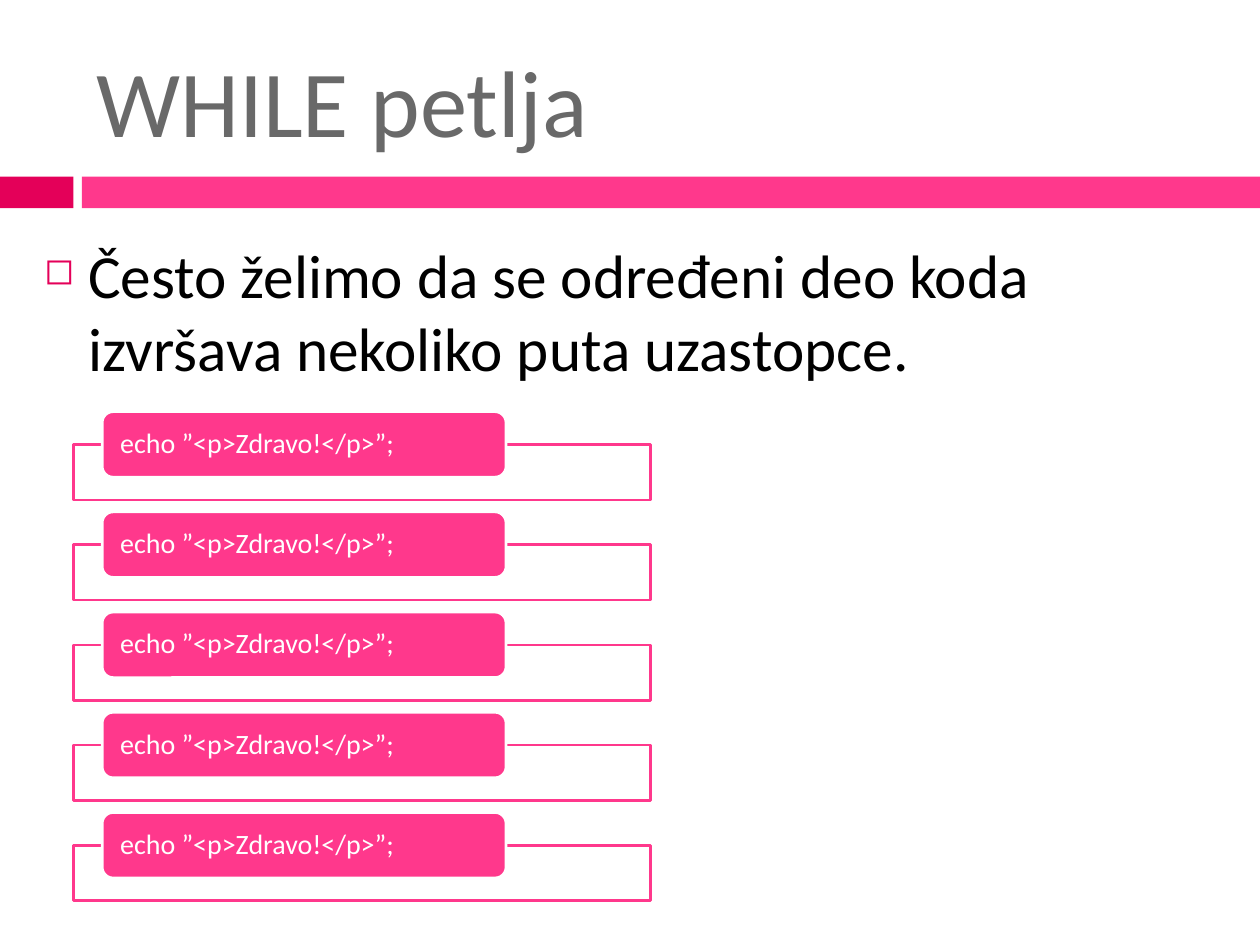
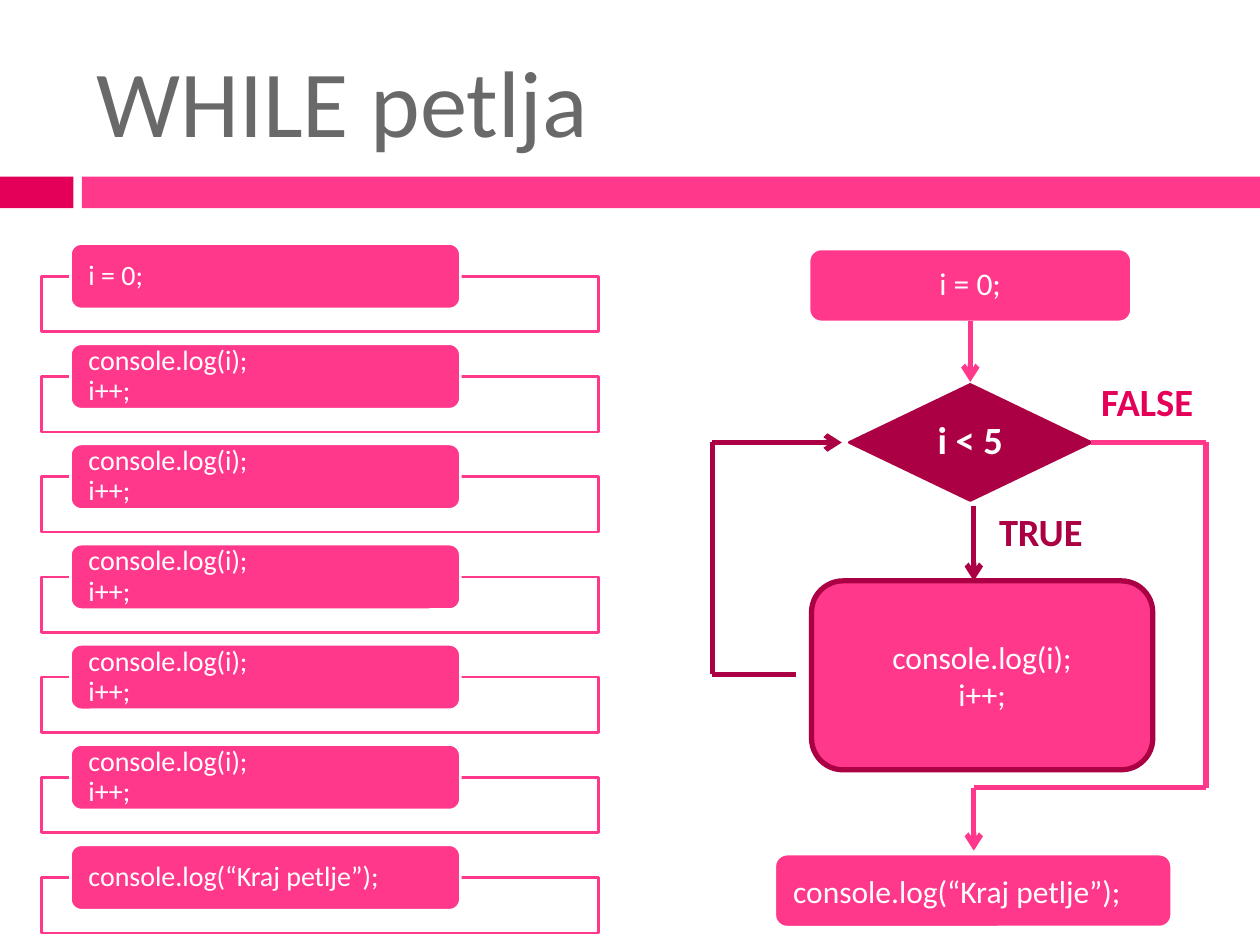
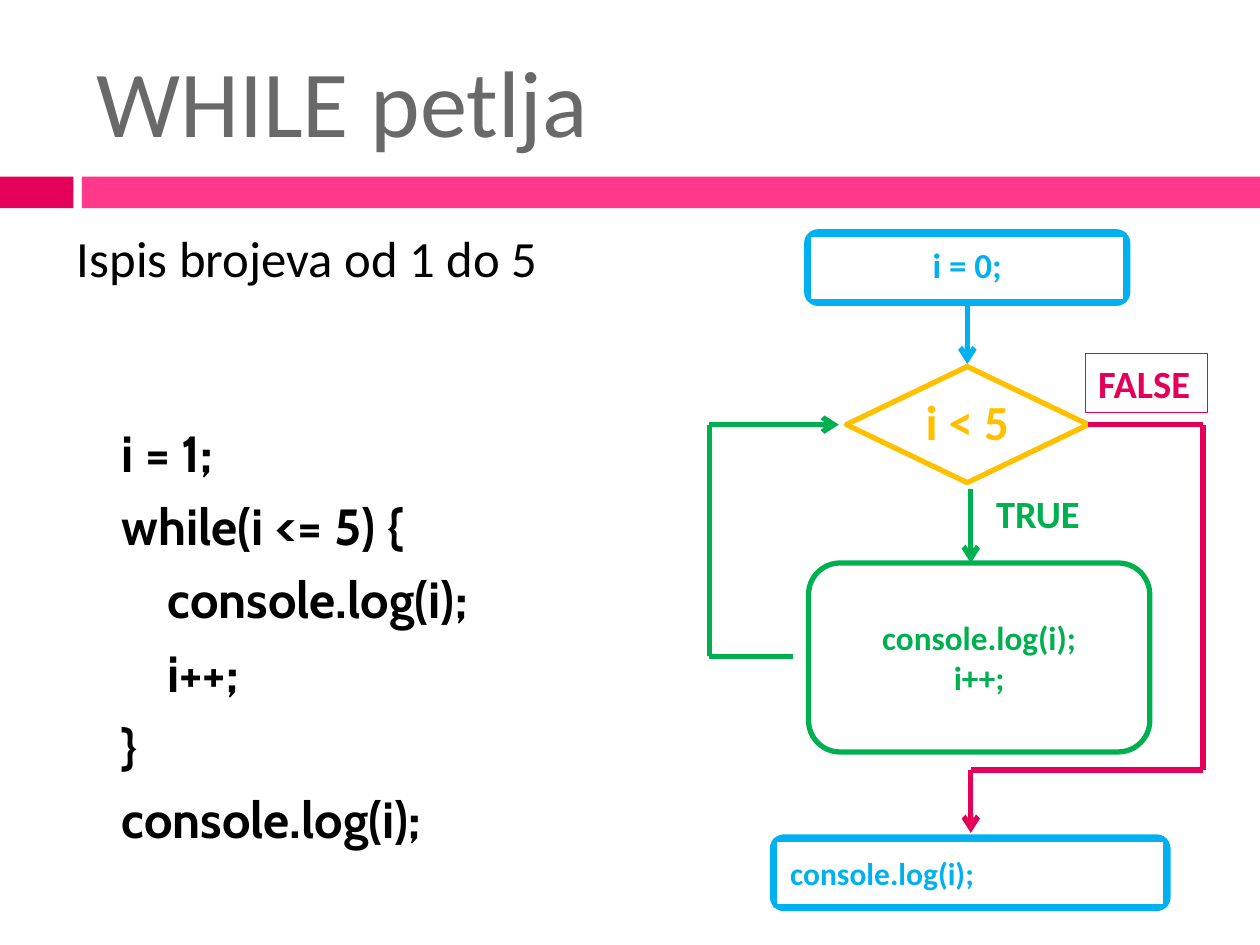
import pptx
import pptx.util
import pptx.dml.color
import pptx.enum.shapes
import pptx.enum.text
import pptx.oxml
import pptx.oxml.ns

Cm, Pt = pptx.util.Cm, pptx.util.Pt
KIND = pptx.enum.shapes.MSO_SHAPE
ALIGN = pptx.enum.text.PP_ALIGN
ANCHOR = pptx.enum.text.MSO_ANCHOR
FIT = pptx.enum.text.MSO_AUTO_SIZE
qn = pptx.oxml.ns.qn

PINK, ROSE, WINE = "FF388C", "E40059", "AB0043"
WHITE, BLACK, GREY = "FFFFFF", "000000", "696969"
BLUE, GOLD, GREEN = "00B0F0", "FFC000", "00B050"
FONT, CODE = "Calibri", "Cabin"

INSET = {"margin_left": Cm(0.3), "margin_right": Cm(0.3),
         "margin_top": 0, "margin_bottom": 0,
         "vertical_anchor": ANCHOR.MIDDLE, "word_wrap": True}
TIGHT = {"line_spacing": 0.9}
MIDDLE = {"alignment": ALIGN.CENTER}
LABEL = {"word_wrap": False, "auto_size": FIT.SHAPE_TO_FIT_TEXT}

PITCH = 2.02    # distance between steps
TAB_H, FRAME_H = 1.32, 1.12

PLAIN = {
    "shift": (0, 0), "box": (PINK, WHITE, 1.5), "ink": WHITE, "bold": False,
    "start_size": 18, "end": "console.log(“Kraj petlje”);", "inner": False,
    "down": PINK, "test": (WINE, WINE, 1.5), "test_ink": WHITE,
    "test_size": 22, "body": (PINK, WINE, 3), "body_ink": WHITE,
    "body_size": 18, "lines": ["console.log(i);\vi++;"], "loop": WINE,
    "exit": PINK, "frame": None,
}
COLOURED = {
    "shift": (-0.06, -0.36), "box": (WHITE, BLUE, 2.25), "ink": BLUE,
    "bold": True, "start_size": 20, "end": "console.log(i);", "inner": True,
    "down": BLUE, "test": (None, GOLD, 3), "test_ink": GOLD,
    "test_size": 28, "body": (None, GREEN, 3), "body_ink": GREEN,
    "body_size": 19, "lines": ["console.log(i);", "i++;"], "loop": GREEN,
    "exit": ROSE, "frame": ROSE,
}


def rgb(code):
    """Turn a hex string into a colour."""
    return pptx.dml.color.RGBColor.from_string(code)


def put(item, values):
    """Set each attribute named in the dict."""
    for name, value in values.items():
        setattr(item, name, value)


def edge(line, color, width):
    """Colour an outline, or remove it."""
    if color:
        line.color.rgb = rgb(color)
        line.width = Pt(width)
    else:
        line.fill.background()


def write(shape, lines, size, color, frame=None, para=None, bold=False,
          font=FONT):
    """Fill a shape with paragraphs of one style and return them."""
    text = shape.text_frame
    put(text, frame or {"word_wrap": True})
    for number, line in enumerate(lines):
        part = text.add_paragraph() if number else text.paragraphs[0]
        part.text = line
        put(part, {"alignment": ALIGN.LEFT, **(para or {})})
        for run in part.runs:
            put(run.font, {"size": Pt(size), "name": font, "bold": bold})
            run.font.color.rgb = rgb(color)
    return text.paragraphs


def shape(slide, kind, box, fill=None, line=None, width=1.5):
    """Draw a preset shape; box is left, top, width, height in cm."""
    item = slide.shapes.add_shape(kind, *map(Cm, box))
    item.shadow.inherit = False
    if fill:
        item.fill.solid()
        item.fill.fore_color.rgb = rgb(fill)
    else:
        item.fill.background()
    edge(item.line, line, width)
    return item


def label(slide, box):
    """Add an empty text box."""
    return slide.shapes.add_textbox(*map(Cm, box))


def tag(parent, name, **values):
    """Append one drawing element."""
    child = parent.makeelement(qn(name), values)
    parent.append(child)
    return child


def link(slide, color, start, end, arrow=False):
    """Draw a straight line, with an arrowhead at its end if asked."""
    kind = pptx.enum.shapes.MSO_CONNECTOR.STRAIGHT
    item = slide.shapes.add_connector(kind, *map(Cm, (*start, *end)))
    edge(item.line, color, 3)
    if arrow:
        tag(item.line._get_or_add_ln(), "a:tailEnd", type="arrow")
    tag(item._element.spPr, "a:effectLst")


def indent(part, left, first=0):
    """Set the left and first line indents of a paragraph."""
    props = part._p.get_or_add_pPr()
    props.set("marL", str(Cm(left)))
    props.set("indent", str(Cm(first)))
    return props


def bullet(part):
    """Give a paragraph the hollow square bullet."""
    props = indent(part, 0.89, -0.89)
    tag(tag(props, "a:buClr"), "a:srgbClr", val=ROSE)
    tag(props, "a:buSzPct", val="60000")
    tag(props, "a:buChar", char="◻")


def page(deck):
    """Add a slide with the title and the two bands."""
    slide = deck.slides.add_slide(deck.slide_layouts[6])
    shape(slide, KIND.RECTANGLE, (0, 3.56, 1.48, 0.64), ROSE)
    shape(slide, KIND.RECTANGLE, (1.65, 3.56, 23.75, 0.64), PINK)
    write(label(slide, (1.7, 0.64, 22.66, 2.74)), ["WHILE petlja"], 54, GREY,
          {"vertical_anchor": ANCHOR.MIDDLE, "word_wrap": True})
    return slide


def steps(slide, left, top, width, texts):
    """Stack framed steps, each with a tab that holds its code."""
    for number, text in enumerate(texts):
        y = top + number * PITCH
        frame = shape(slide, KIND.RECTANGLE,
                      (left, y + 0.66, width, FRAME_H), WHITE, PINK)
        fill = frame._element.spPr.find(qn("a:solidFill"))
        tag(fill[0], "a:alpha", val="90000")
        tab = shape(slide, KIND.ROUNDED_RECTANGLE,
                    (left + 0.58, y, width * 0.7, TAB_H), PINK, WHITE)
        write(tab, [text], 16, WHITE, INSET, TIGHT)


def node(slide, box, text, size, look, para):
    """Draw a start or end box of the flow chart."""
    item = shape(slide, KIND.ROUNDED_RECTANGLE, box, *look["box"])
    if look["inner"]:
        x, y, w, h = box
        inner = (x + 0.07, y + 0.07, w - 0.14, h - 0.14)
        item = shape(slide, KIND.RECTANGLE, inner, *look["box"])
    write(item, [text], size, look["ink"], INSET, para, look["bold"])


def flow(slide, look):
    """Draw the flow chart of the loop."""
    dx, dy = look["shift"]

    def at(x, y, *size):
        """Shift a point or a box."""
        return (x + dx, y + dy, *size)

    def route(color, *points):
        """Join points by lines; the last one ends in an arrow."""
        last = len(points) - 2
        for number, pair in enumerate(zip(points, points[1:])):
            link(slide, color, at(*pair[0]), at(*pair[1]), number == last)

    loop, out = look["loop"], look["exit"]
    node(slide, at(16.31, 5.02, 6.5, 1.47), "i = 0;", look["start_size"],
         look, {**TIGHT, **MIDDLE})
    route(look["down"], (19.56, 6.48), (19.56, 7.7))
    test = shape(slide, KIND.FLOWCHART_DECISION, at(17.12, 7.75, 4.88, 2.34),
                 *look["test"])
    write(test, ["i < 5"], look["test_size"], look["test_ink"],
          {**INSET, "word_wrap": False}, {**TIGHT, **MIDDLE}, True)
    route(loop, (19.63, 10.21), (19.63, 11.71))
    body = shape(slide, KIND.ROUNDED_RECTANGLE, at(16.36, 11.71, 6.88, 3.81),
                 *look["body"])
    write(body, look["lines"], look["body_size"], look["body_ink"], INSET,
          MIDDLE, look["bold"])
    route(loop, (16.05, 13.59), (14.36, 13.59), (14.36, 8.92), (16.97, 8.92))
    route(out, (22, 8.92), (24.31, 8.92), (24.31, 15.88), (19.63, 15.88),
          (19.63, 17.15))
    write(label(slide, at(19.89, 10.11, 2.4, 1.19)), ["TRUE"], 22, loop,
          LABEL, bold=True)
    sign = label(slide, at(21.95, 7.49, 2.46, 1.19))
    edge(sign.line, look["frame"], 0.75)
    write(sign, ["FALSE"], 22, ROSE, LABEL, bold=True)
    node(slide, at(15.62, 17.22, 8, 1.47), look["end"], 18, look, {})


def intro(deck):
    """Build the slide that says why loops are needed."""
    slide = page(deck)
    parts = write(label(slide, (0.64, 4.65, 23.93, 12.9)),
                  ["Često želimo da se određeni deo koda izvršava "
                   "nekoliko puta uzastopce."],
                  35, BLACK, para={"space_before": Pt(7)})
    bullet(parts[0])
    steps(slide, 1.48, 8.3, 11.63, ["echo ”<p>Zdravo!</p>”;"] * 5)


def trace(deck):
    """Build the slide that sets the steps beside the flow chart."""
    slide = page(deck)
    steps(slide, 0.84, 4.91, 11.23,
          ["i = 0;", *["console.log(i);\vi++;"] * 5, PLAIN["end"]])
    flow(slide, PLAIN)


def code(deck):
    """Build the slide that sets the code beside the flow chart."""
    slide = page(deck)
    gap = {"space_before": Pt(7)}
    head = write(label(slide, (1.07, 4.45, 13, 1.8)),
                 ["Ispis brojeva od 1 do 5"], 29, BLACK, para=gap)
    indent(head[0], 0.23)
    rows = [(0, "i = 1;"), (0, "while(i <= 5) {"), (1, "console.log(i);"),
            (1, "i++;"), (0, "}"), (0, "console.log(i);")]
    parts = write(label(slide, (1.07, 8.38, 13, 9.98)),
                  [text for _, text in rows], 29, BLACK, para=gap,
                  bold=True, font=CODE)
    for part, (level, _) in zip(parts, rows):
        indent(part, 1.13 + 0.93 * level)
    flow(slide, COLOURED)


def main():
    """Build and save the deck."""
    deck = pptx.Presentation()
    put(deck, {"slide_width": Cm(25.4), "slide_height": Cm(19.05)})
    for build in (intro, trace, code):
        build(deck)
    deck.save("out.pptx")


main()
